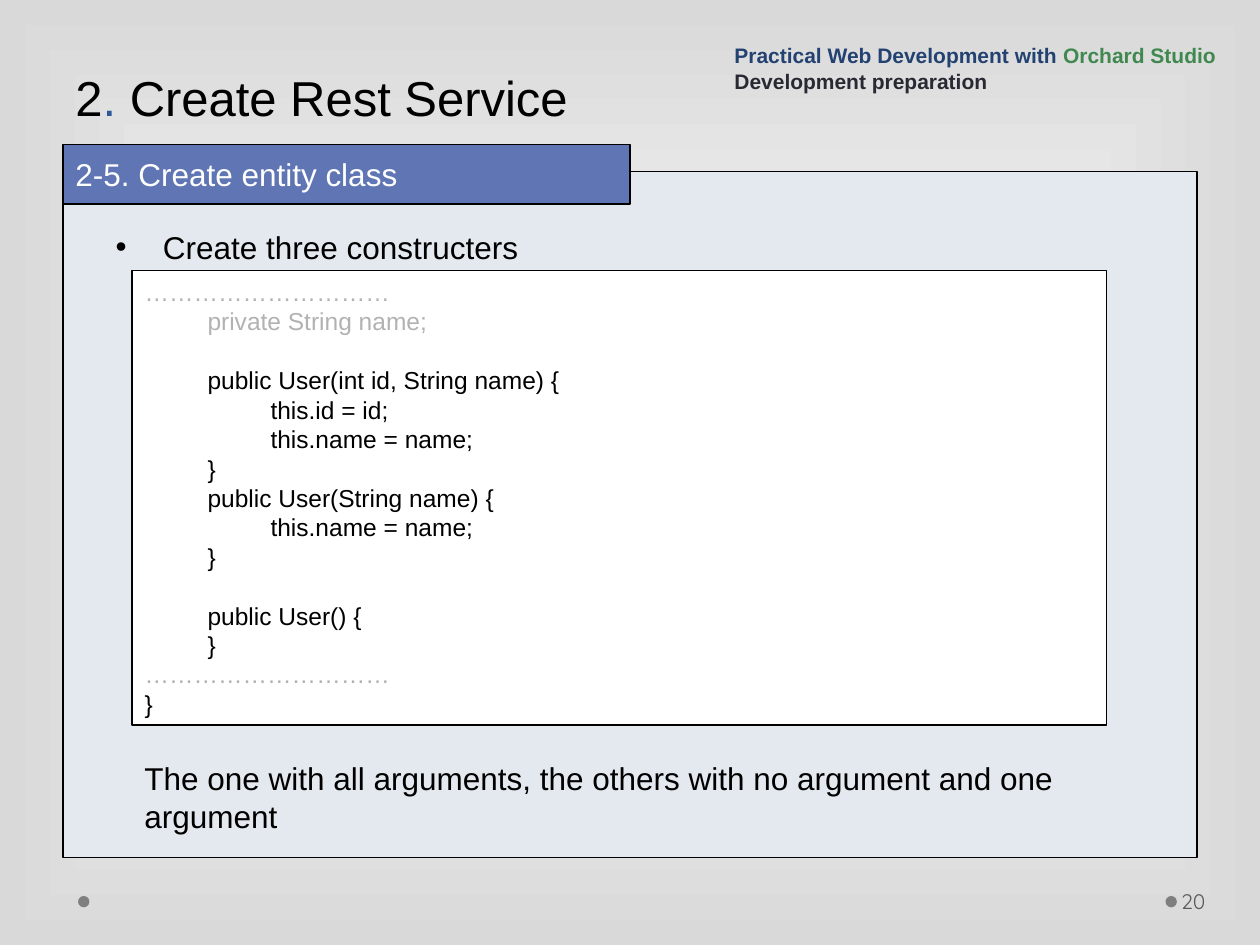
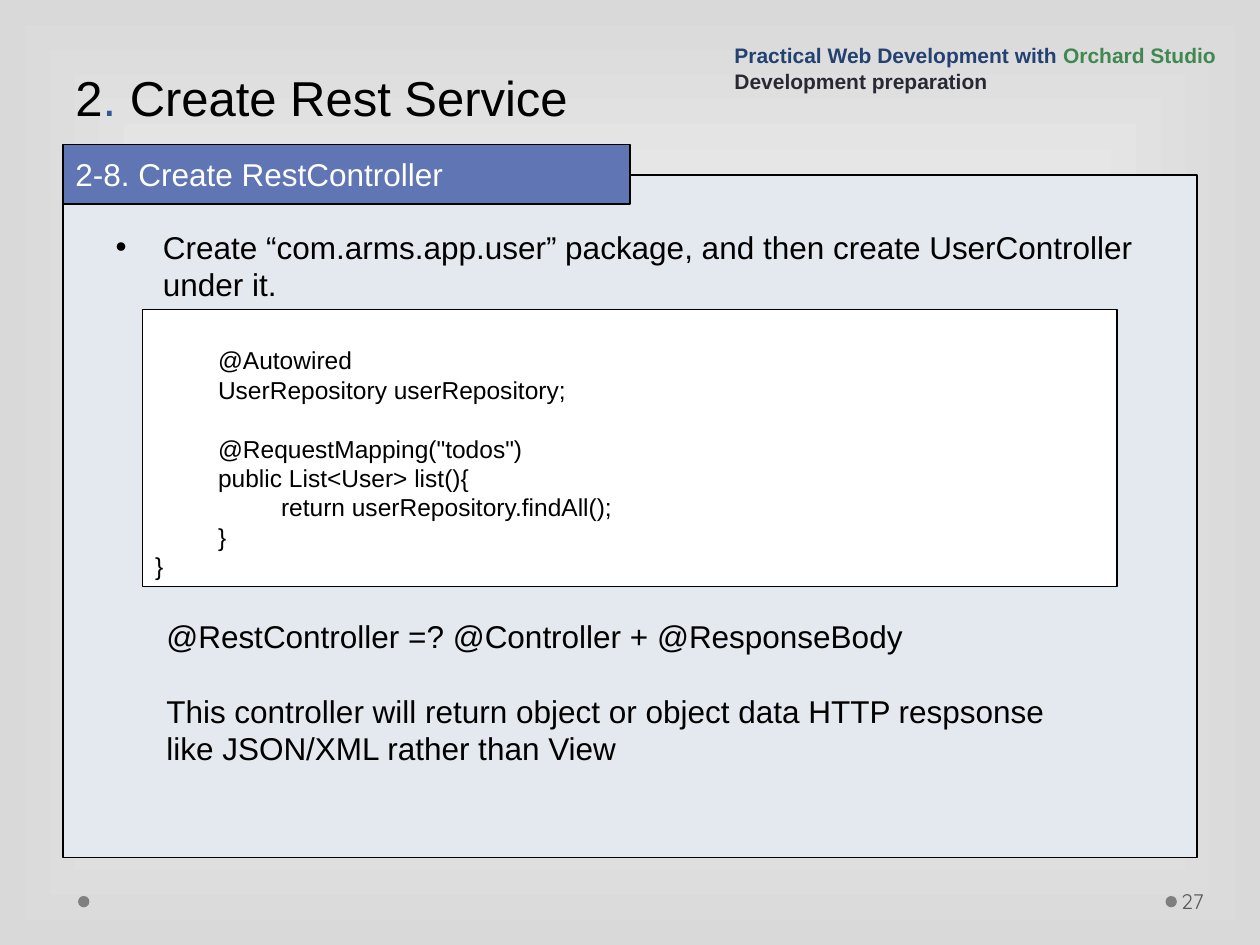
from pptx import Presentation
from pptx.dml.color import RGBColor
from pptx.enum import shapes, text
from pptx.oxml import parse_xml
from pptx.oxml.ns import nsdecls, qn
from pptx.util import Pt

BLACK, WHITE, GREY = "000000", "FFFFFF", "B2B2B2"
BLUE, PANEL, NAVY, GREEN = "6076B4", "E4E9EF", "234271", "40884F"
BOX = shapes.MSO_SHAPE.RECTANGLE
DOTS = "…………………………"


def tint(code):
    return RGBColor.from_string(code)


def node(tag, attrs="", inner=""):
    return parse_xml(f"<a:{tag} {nsdecls('a')} {attrs}>{inner}</a:{tag}>")


def put(shape, lines, size=18, color=BLACK, font="Arial", bold=False, lead=None,
        anchor="TOP", tabs=(), bullet=0):
    """Fill a shape with lines, each a string or a list of (text, colour) runs.

    An empty line becomes space above the next one; lead is the line pitch.
    """
    frame = shape.text_frame
    frame.word_wrap = True
    frame.vertical_anchor = text.MSO_ANCHOR[anchor]
    para, gap = None, 0
    for line in lines:
        if not line:
            gap += lead
            continue
        if para is None:
            para = frame.paragraphs[0]
            frame.margin_top = Pt(3.6 + gap)
        else:
            para = frame.add_paragraph()
            para.space_before = Pt(gap)
        gap = 0
        props = para._p.get_or_add_pPr()
        if bullet:
            props.set("marL", str(Pt(bullet)))
            props.set("indent", str(-Pt(bullet)))
            props.append(node("buFont", 'typeface="Arial"'))
            props.append(node("buChar", 'char="•"'))
        if tabs:
            stops = "".join(f'<a:tab pos="{Pt(x)}" algn="l"/>' for x in tabs)
            props.append(node("tabLst", inner=stops))
        para.alignment = text.PP_ALIGN.LEFT
        if lead:
            para.line_spacing = Pt(lead)
        for words, shade in [(line, color)] if isinstance(line, str) else line:
            run = para.add_run()
            run.text = words
            run.font.name, run.font.size, run.font.bold = font, Pt(size), bold
            run.font.color.rgb = tint(shade)


class Deck:
    """Holds the shared style and the current slide; lengths are points."""

    def __init__(self):
        self.prs = Presentation()
        self.prs.slide_width, self.prs.slide_height = Pt(720), Pt(540)
        master = self.prs.slide_master
        fill = master.background.fill
        fill.gradient()
        for stop, code in zip(fill.gradient_stops, (WHITE, "D9D9D9")):
            stop.color.rgb = tint(code)
        grad = master.element.find(".//" + qn("a:gradFill"))
        rect = '<a:fillToRect l="50000" t="50000" r="50000" b="50000"/>'
        grad.replace(grad.find(qn("a:lin")), node("path", 'path="rect"', rect))

    def shape(self, kind, at, fill, line=None):
        item = self.slide.shapes.add_shape(kind, *map(Pt, at))
        item.shadow.inherit = False
        item.fill.solid()
        item.fill.fore_color.rgb = tint(fill)
        if line:
            item.line.color.rgb = tint(line)
            item.line.width = Pt(0.75)
        else:
            item.line.fill.background()
        return item

    def label(self, at, lines, **style):
        item = self.slide.shapes.add_textbox(*map(Pt, at))
        put(item, lines, **style)
        return item

    def page(self, number, topic, top):
        """Start a slide with its header, footer, panel and topic band."""
        self.slide = self.prs.slides.add_slide(self.prs.slide_layouts[6])
        for x in (666, 44.6):
            self.shape(shapes.MSO_SHAPE.OVAL, (x, 512, 6.5, 6.5), "7F7F7F")
        foot = self.label((672.5, 500.4, 44, 28.8), [str(number)], size=12,
                          color="595959", font="Quicksand", anchor="MIDDLE")
        foot.text_frame.margin_left = Pt(2.4)
        self.shape(BOX, (36, top, 648, 490 - top), PANEL, BLACK)
        self.label((36, 0, 648, 75.6),
                   [[("2", BLACK), (". ", "2F5897"), ("Create Rest Service", BLACK)]],
                   size=28, lead=58, anchor="BOTTOM")
        band = self.shape(BOX, (36, 82.8, 324, 33.8), BLUE, BLACK)
        put(band, [topic], color=WHITE, lead=23.6)
        self.label((412.6, 17.3, 308, 39.6),
                   [[("Practical Web Development with ", NAVY),
                     ("Orchard Studio", GREEN)],
                    "Development preparation"],
                   size=12, color="292934", bold=True, lead=14.9, anchor="BOTTOM")

    def point(self, words):
        self.label((59, 126.7, 613.4, 50), [words], lead=21.4, bullet=27)

    def code(self, at, lines):
        put(self.shape(BOX, at, WHITE, BLACK), lines, size=14, lead=16.8,
            tabs=(36, 72))

    def note(self, at, lines):
        self.label(at, lines, lead=21.4)


def main():
    deck = Deck()

    deck.page(20, "2-5. Create entity class", 98)
    deck.point("Create three constructers")
    deck.code((75.5, 154.8, 556.8, 259.6), [
        [(DOTS, GREY)],
        [("\tprivate String name;", GREY)],
        "",
        "\tpublic User(int id, String name) {",
        "\t\tthis.id = id;",
        "\t\tthis.name = name;",
        "\t}",
        "\tpublic User(String name) {",
        "\t\tthis.name = name;",
        "\t}",
        "",
        "\tpublic User() {",
        "\t}",
        [(DOTS, GREY)],
        "}",
    ])
    deck.note((75.5, 430.6, 597.6, 50.4), [
        "The one with all arguments, the others with no argument and one argument"])

    deck.page(27, "2-8. Create RestController", 100)
    deck.point("Create “com.arms.app.user” package, and then create "
               "UserController under it.")
    deck.code((81.5, 177, 556.8, 158.4), [
        "",
        "\t@Autowired",
        "\tUserRepository userRepository;",
        "",
        "\t@RequestMapping(\"todos\")",
        "\tpublic List<User> list(){",
        "\t\treturn userRepository.findAll();",
        "\t}",
        "}",
    ])
    deck.note((88, 349.2, 544.3, 93.6), [
        "@RestController =? @Controller + @ResponseBody",
        "",
        "This controller will return object or object data HTTP respsonse "
        "like JSON/XML rather than View",
    ])

    deck.prs.save("out.pptx")


if __name__ == "__main__":
    main()
